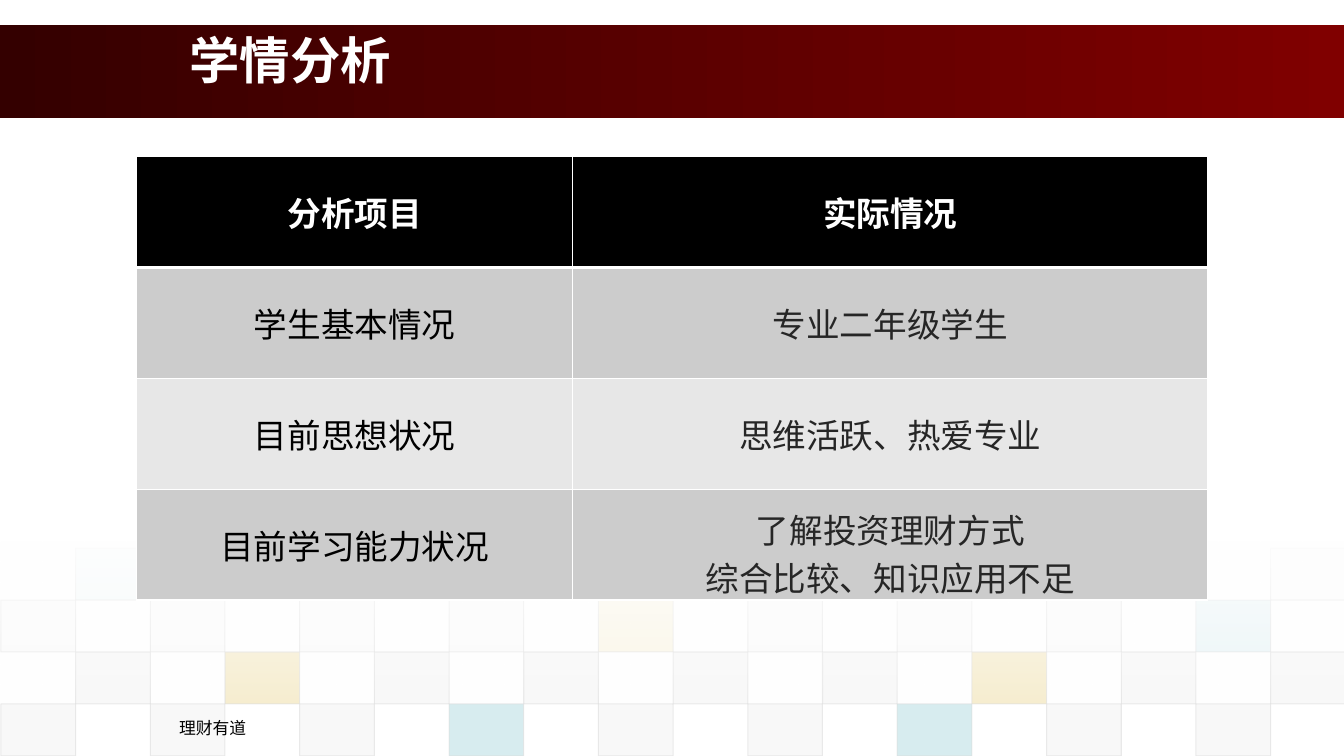
from lxml import etree
from pptx import Presentation
from pptx.dml.color import RGBColor
from pptx.enum import shapes, text
from pptx.oxml import ns
from pptx.util import Pt

WIDTH, HEIGHT = 960, 540
TEAL, GOLD, GREY, PALE = "38A3B2", "D3A911", "DDDDDD", "EAEAEA"
CJK = "Noto Sans CJK SC"

# First column, opacity and colours of every second tile, from the top row down
TILE_ROWS = [
    (1, 5, [TEAL, PALE, PALE, TEAL, GREY, TEAL, PALE, GOLD, PALE]),
    (0, 10, [GREY, GREY, GREY, GREY, GOLD, GREY, GREY, GREY, TEAL]),
    (1, 20, [GREY, GOLD, GREY, GREY, GREY, GREY, GOLD, GREY, GREY]),
    (0, 20, [GREY, GREY, GREY, TEAL, GREY, GREY, TEAL, GREY, GREY]),
]
TILE_WIDTH, TILE_HEIGHT, TILES_TOP = 53.35, 37.1, 391.5

ANALYSIS = [
    ("分析项目", "实际情况"),
    ("学生基本情况", "专业二年级学生"),
    ("目前思想状况", "思维活跃、热爱专业"),
    ("目前学习能力状况", "了解投资理财方式\n综合比较、知识应用不足"),
]


def color(hex_code):
    return RGBColor.from_string(hex_code)


def set_opacity(shape, *percents):
    """Give the shape's colours, in file order, these opacities."""
    found = shape.element.spPr.iter(ns.qn("a:srgbClr"))
    for node, percent in zip(found, percents):
        etree.SubElement(node, ns.qn("a:alpha"), val=str(percent * 1000))


class SlideBuilder:
    def __init__(self, slide):
        self.slide = slide

    def format_text(self, frame, size, hex_code, font="Calibri", bold=False,
                    align=text.PP_ALIGN.CENTER):
        for paragraph in frame.paragraphs:
            paragraph.alignment = align
            for run in paragraph.runs:
                run.font.size = Pt(size)
                run.font.bold = bold
                run.font.color.rgb = color(hex_code)
                run.font.name = font
                etree.SubElement(run.font._element, ns.qn("a:ea"), typeface=CJK)

    def rectangle(self, left, top, width, height):
        shape = self.slide.shapes.add_shape(
            shapes.MSO_SHAPE.RECTANGLE, Pt(left), Pt(top), Pt(width), Pt(height))
        shape.shadow.inherit = False
        return shape

    def tile(self, left, top, hex_code, opacity):
        tile = self.rectangle(left, top, TILE_WIDTH, TILE_HEIGHT)
        tile.fill.solid()
        tile.fill.fore_color.rgb = color(hex_code)
        tile.line.color.rgb = color(GREY)
        tile.line.width = Pt(0.75)
        set_opacity(tile, opacity, 60)

    def gradient(self, left, top, width, height, hex_codes, angle):
        area = self.rectangle(left, top, width, height)
        area.line.fill.background()
        area.fill.gradient()
        area.fill.gradient_angle = angle
        for stop, position, hex_code in zip(area.fill.gradient_stops, (0, 1), hex_codes):
            stop.position = position
            stop.color.rgb = color(hex_code)
        return area

    def title(self, wording, left, top, width, height):
        title = self.slide.shapes.title
        # Bring the placeholder in front of the band
        self.slide.shapes.element.append(title.element)
        title.left, title.top = Pt(left), Pt(top)
        title.width, title.height = Pt(width), Pt(height)
        frame = title.text_frame
        frame.text = wording
        frame.auto_size = text.MSO_AUTO_SIZE.NONE
        frame.vertical_anchor = text.MSO_ANCHOR.TOP
        frame.paragraphs[0].line_spacing = 0.9
        self.format_text(frame, 36, "FFFFFF", "Arial", True, text.PP_ALIGN.LEFT)

    def label(self, wording, left, top, width, height):
        frame = self.slide.shapes.add_textbox(
            Pt(left), Pt(top), Pt(width), Pt(height)).text_frame
        frame.word_wrap = True
        frame.text = wording
        self.format_text(frame, 12, "000000")

    def cell_borders(self, cell, bottom):
        properties = cell._tc.get_or_add_tcPr()
        for index, (side, width) in enumerate(
                [("lnL", 1), ("lnR", 1), ("lnT", 1), ("lnB", bottom)]):
            line = etree.Element(ns.qn(f"a:{side}"), w=str(Pt(width)))
            fill = etree.SubElement(line, ns.qn("a:solidFill"))
            etree.SubElement(fill, ns.qn("a:srgbClr"), val="FFFFFF")
            properties.insert(index, line)

    def table(self, rows, left, top, column_widths, row_height):
        table = self.slide.shapes.add_table(
            len(rows), len(column_widths), Pt(left), Pt(top),
            Pt(sum(column_widths)), Pt(row_height * len(rows))).table
        for column, width in zip(table.columns, column_widths):
            column.width = Pt(width)
        for r, wordings in enumerate(rows):
            table.rows[r].height = Pt(row_height)
            header = r == 0
            background = "000000" if header else ("E7E7E7", "CCCCCC")[r % 2]
            for c, wording in enumerate(wordings):
                cell = table.cell(r, c)
                cell.text_frame.text = wording
                cell.vertical_anchor = text.MSO_ANCHOR.MIDDLE
                cell.margin_left = cell.margin_right = Pt(10.8)
                cell.margin_top = cell.margin_bottom = Pt(10.8)
                cell.fill.solid()
                cell.fill.fore_color.rgb = color(background)
                # A row's top edge matches the bottom edge of the row above
                self.cell_borders(cell, 3 if header else 1)
                if header:
                    self.format_text(cell.text_frame, 24, "FFFFFF", bold=True)
                elif c == 0:
                    self.format_text(cell.text_frame, 24, "000000")
                else:
                    self.format_text(cell.text_frame, 24, "262626", CJK)


def main():
    deck = Presentation()
    deck.slide_width, deck.slide_height = Pt(WIDTH), Pt(HEIGHT)
    page = SlideBuilder(deck.slides.add_slide(deck.slide_layouts[5]))

    page.gradient(0, 18, WIDTH, 66.2, ("340000", "800000"), 0)
    for row, (first, opacity, hex_codes) in enumerate(TILE_ROWS):
        for k, hex_code in enumerate(hex_codes):
            page.tile(0.7 + TILE_WIDTH * (first + 2 * k),
                      TILES_TOP + TILE_HEIGHT * row, hex_code, opacity)
    fade = page.gradient(0, 386.6, WIDTH, 116.6, ("FFFFFF", "FFFFFF"), 270)
    set_opacity(fade, 90, 0)

    page.title("学情分析", 128.2, 22.3, 776.2, 66.2)
    page.label("理财有道", 0, 509, 303.8, 23.8)
    page.table(ANALYSIS, 97.6, 111.8, (311.5, 453.6), 79.2)
    deck.save("out.pptx")


if __name__ == "__main__":
    main()
